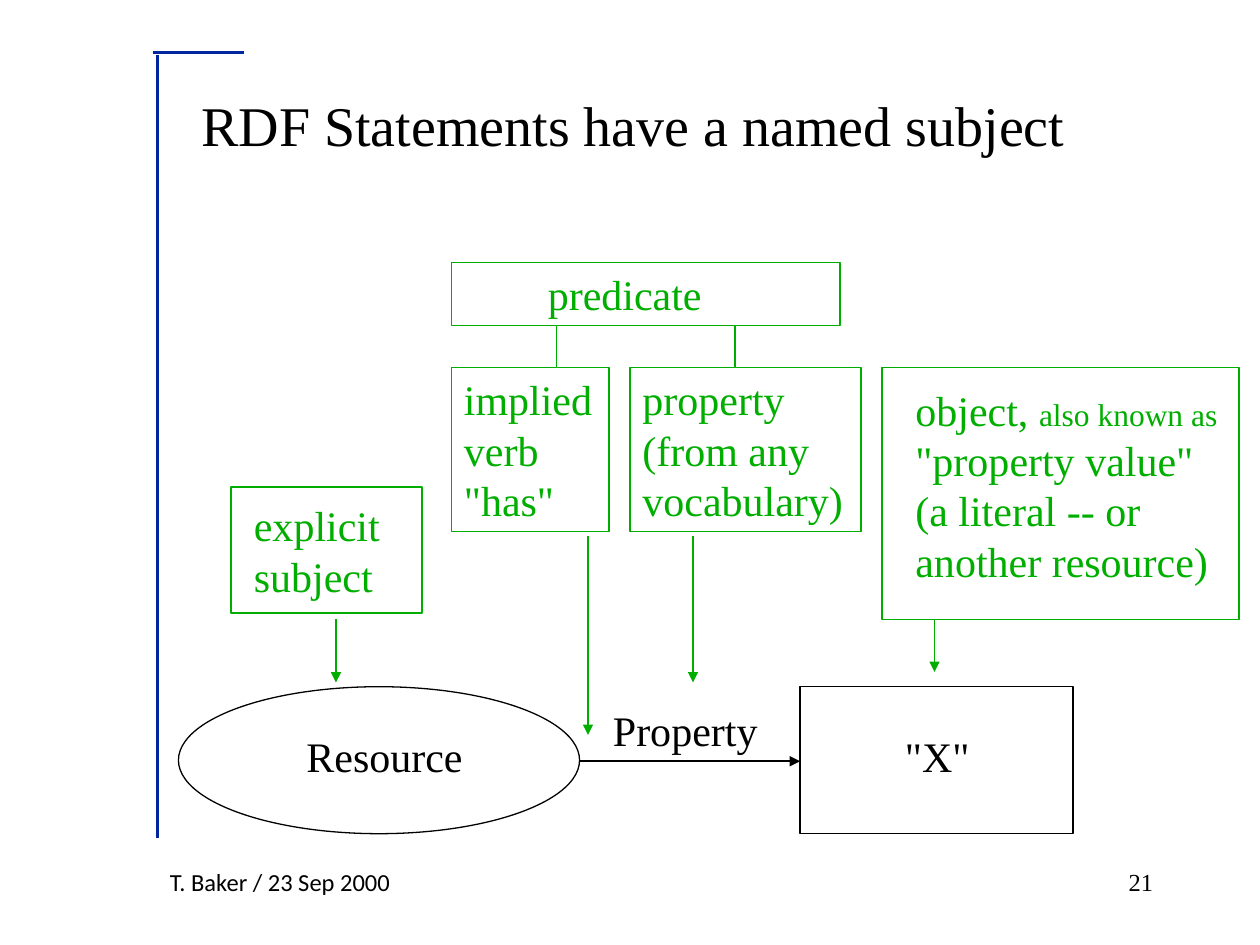
from dataclasses import dataclass
from typing import Optional

from lxml.etree import SubElement
from pptx import Presentation
from pptx.dml.color import RGBColor
from pptx.enum.shapes import MSO_CONNECTOR as Connector, MSO_SHAPE as Preset
from pptx.enum.text import MSO_ANCHOR as Anchor, PP_ALIGN as Align
from pptx.oxml.ns import qn
from pptx.util import Inches, Pt

BLACK = RGBColor(0x00, 0x00, 0x00)
BLUE = RGBColor(0x00, 0x27, 0x9F)
GREEN = RGBColor(0x00, 0xAE, 0x00)
SERIF = "Times New Roman"
CELL = Inches(10) / 120  # the slide is a grid of 120 columns by 90 rows


@dataclass(frozen=True)
class Run:
    text: str
    size: float = 24


@dataclass(frozen=True)
class Area:
    column: float
    row: float
    columns: float
    rows: float


@dataclass(frozen=True)
class Label:
    area: Area
    paragraphs: tuple[tuple[Run, ...], ...]
    color: RGBColor = BLACK
    font: str = SERIF
    wrap: bool = False
    align: Align = Align.LEFT


@dataclass(frozen=True)
class Box:
    area: Area
    color: RGBColor = GREEN
    preset: Preset = Preset.RECTANGLE
    label: Optional[Label] = None


@dataclass(frozen=True)
class Line:
    start: tuple[float, float]
    end: tuple[float, float]
    color: RGBColor = GREEN
    width: float = 0.75
    arrow: bool = False


def lines(*texts: str, size: float = 24) -> tuple[tuple[Run, ...], ...]:
    """Make one single-run paragraph of each text."""
    return tuple((Run(text, size),) for text in texts)


def cells(*counts: float) -> list[int]:
    """Turn grid counts into slide lengths."""
    return [round(count * CELL) for count in counts]


def place(area: Area) -> list[int]:
    return cells(area.column, area.row, area.columns, area.rows)


def write(shape, label: Label) -> None:
    frame = shape.text_frame
    frame.word_wrap = label.wrap
    frame.vertical_anchor = Anchor.TOP
    for index, runs in enumerate(label.paragraphs):
        paragraph = frame.add_paragraph() if index else frame.paragraphs[0]
        paragraph.alignment = label.align
        for item in runs:
            run = paragraph.add_run()
            run.text = item.text
            run.font.size = Pt(item.size)
            run.font.name = label.font
            run.font.color.rgb = label.color


def draw_label(slide, label: Label) -> None:
    write(slide.shapes.add_textbox(*place(label.area)), label)


def draw_box(slide, box: Box) -> None:
    shape = slide.shapes.add_shape(box.preset, *place(box.area))
    shape.shadow.inherit = False
    shape.fill.background()
    shape.line.color.rgb = box.color
    shape.line.width = Pt(0.75)
    if box.label:
        write(shape, box.label)


def draw_line(slide, line: Line) -> None:
    connector = slide.shapes.add_connector(
        Connector.STRAIGHT, *cells(*line.start, *line.end))
    connector.line.color.rgb = line.color
    connector.line.width = Pt(line.width)
    if line.arrow:
        SubElement(connector.line._get_or_add_ln(), qn("a:tailEnd"), type="triangle")
    SubElement(connector._element.spPr, qn("a:effectLst"))


VERB = Area(43, 35, 15, 15.6)
PROPERTY = Area(60, 35, 22, 15.6)

BOXES = (
    Box(Area(17, 65.4, 38.2, 14), BLACK, Preset.OVAL),
    Box(Area(76.2, 65.4, 26, 14), BLACK),
    Box(Area(22, 46.4, 18.2, 12)),
    Box(VERB, label=Label(VERB, lines("implied", 'verb "has"'), GREEN, wrap=True)),
    Box(PROPERTY, label=Label(
        PROPERTY, lines("property", "(from any", "vocabulary)"), GREEN, wrap=True)),
    Box(Area(84, 35, 34, 24)),
    Box(Area(43, 25, 37, 6)),
)

LINES = (
    Line((23.2, 5), (14.6, 5), BLUE, 2),
    Line((15, 5.2), (15, 79.8), BLUE, 2),
    Line((55.2, 72.5), (76.2, 72.5), BLACK, 1, arrow=True),
    Line((32, 59), (32, 65), arrow=True),
    Line((56, 51), (56, 70), arrow=True),
    Line((66, 51), (66, 65), arrow=True),
    Line((89, 59), (89, 64), arrow=True),
    Line((53, 31), (53, 35)),
    Line((70, 31), (70, 35)),
)

LABELS = (
    Label(Area(18, 8, 85, 7.7),
          lines("RDF Statements have a named subject", size=32)),
    Label(Area(51, 25, 17.5, 6), lines("predicate"), GREEN),
    Label(Area(23, 47, 14.8, 10.8), lines("explicit", "subject"), GREEN),
    Label(Area(86, 36, 31.6, 20.4),
          ((Run("object, "), Run("also known as", 18)),
           *lines('"property value"', "(a literal -- or", "another resource)")),
          GREEN),
    Label(Area(28, 69, 17.6, 6), lines("Resource")),
    Label(Area(57.2, 66.5, 16.6, 6), lines("Property")),
    Label(Area(85, 69, 9, 6), lines('"X"')),
    Label(Area(15, 82, 31, 4), lines("T. Baker / 23 Sep 2000", size=14),
          font="Calibri", wrap=True),
    Label(Area(86, 82, 25, 6), lines("21", size=14), wrap=True, align=Align.RIGHT),
)


def main() -> None:
    presentation = Presentation()
    presentation.slide_width, presentation.slide_height = cells(120, 90)
    slide = presentation.slides.add_slide(presentation.slide_layouts[6])
    for box in BOXES:
        draw_box(slide, box)
    for line in LINES:
        draw_line(slide, line)
    for label in LABELS:
        draw_label(slide, label)
    presentation.save("out.pptx")


if __name__ == "__main__":
    main()
